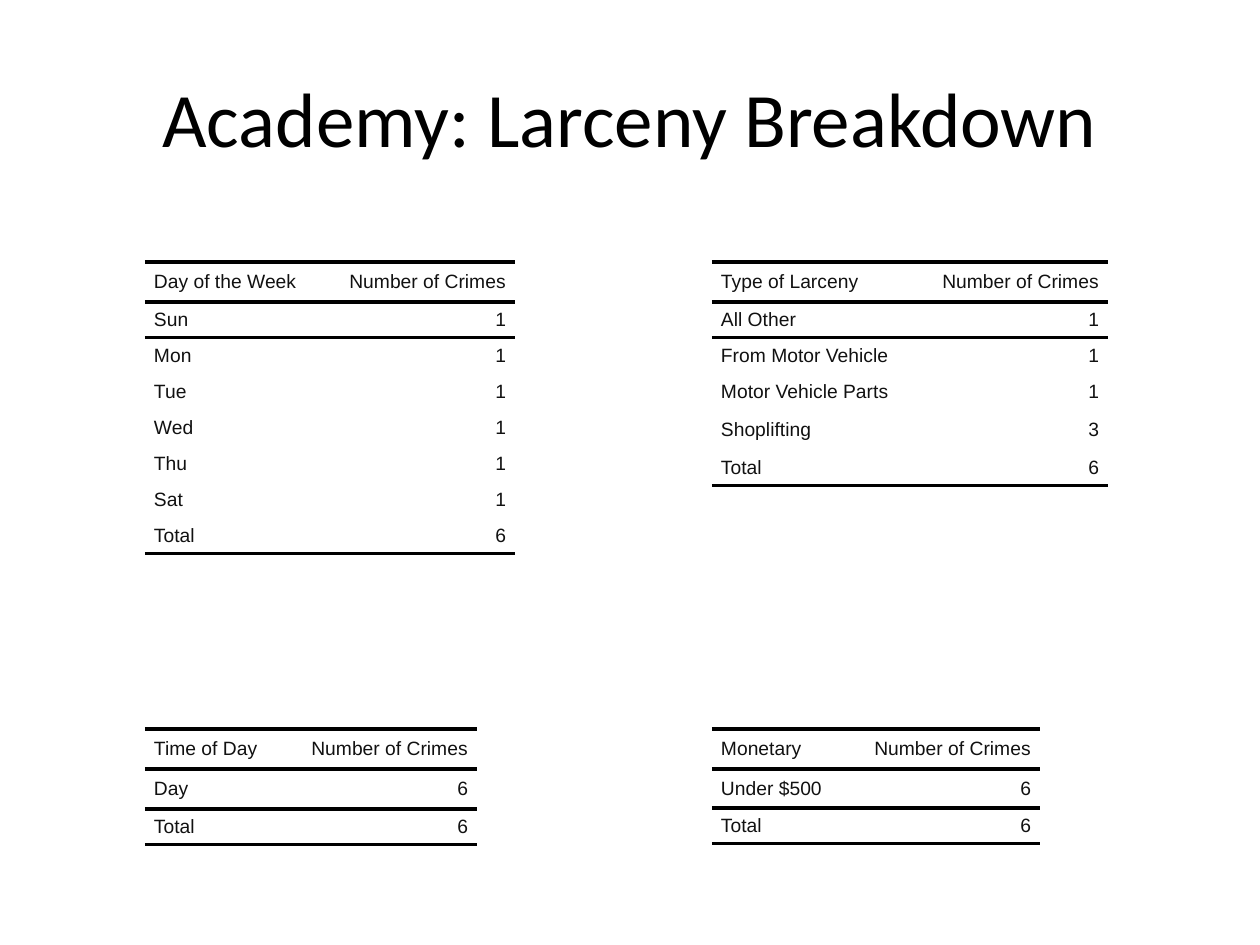
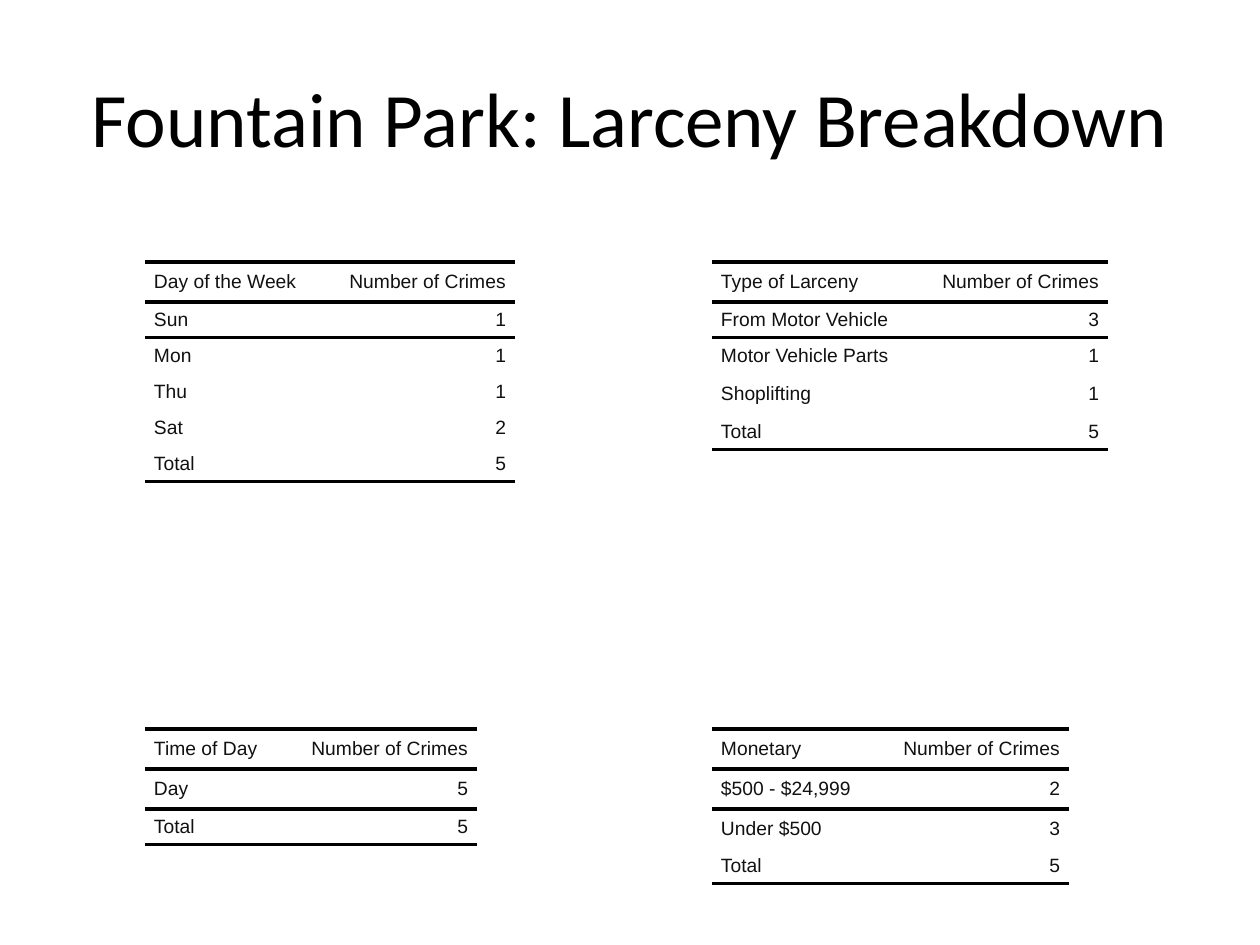
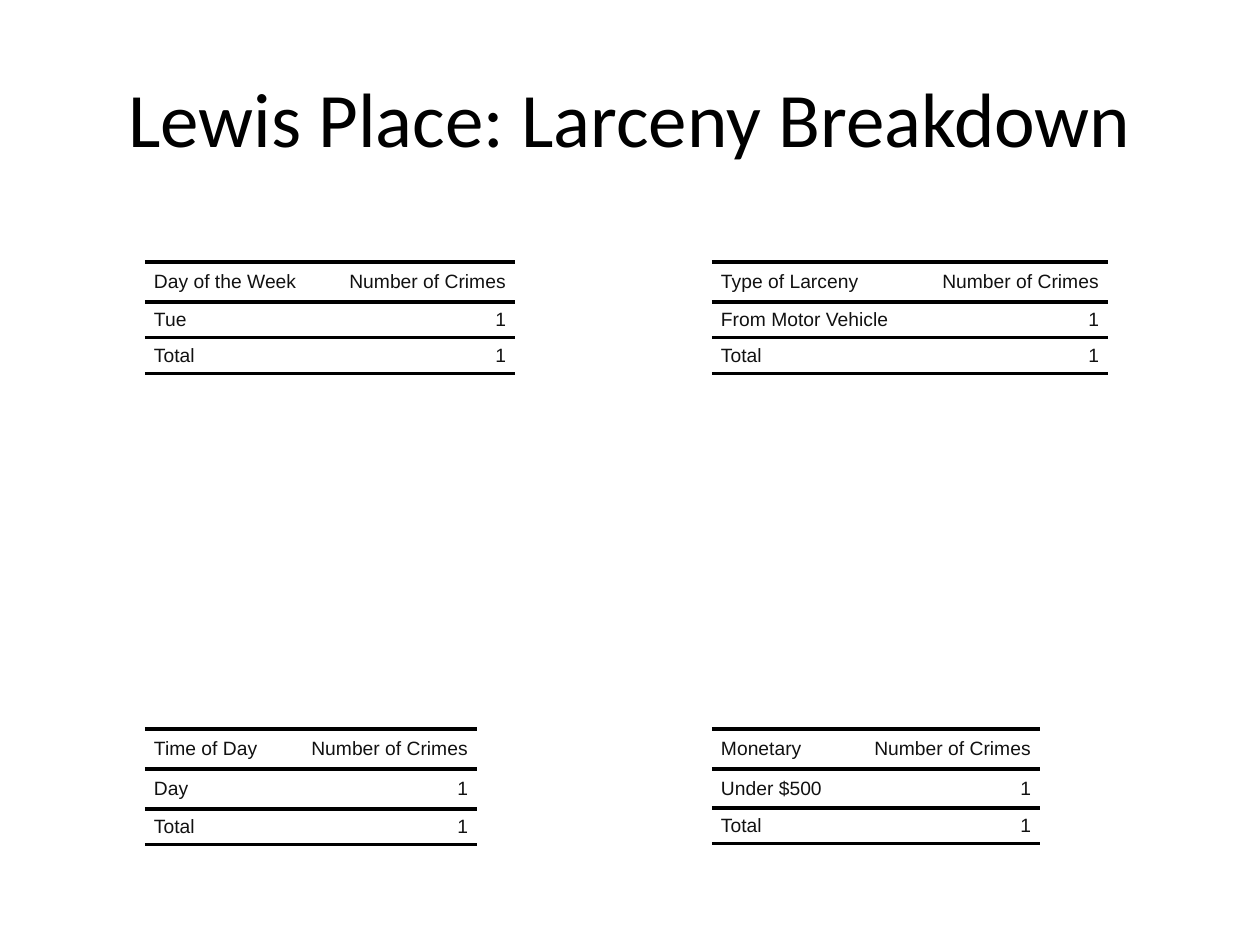
"""Builds three slides of larceny breakdown tables by neighbourhood."""
from dataclasses import dataclass

from lxml import etree
from pptx import Presentation
from pptx.dml.color import RGBColor
from pptx.enum.text import MSO_ANCHOR, PP_ALIGN
from pptx.oxml.ns import qn
from pptx.util import Emu, Pt

LEFT, CENTER, RIGHT = PP_ALIGN.LEFT, PP_ALIGN.CENTER, PP_ALIGN.RIGHT
MIDDLE = MSO_ANCHOR.MIDDLE
BLANK = 6
PX_PER_INCH = 126
NO_STYLE = "{2D5ABB26-0587-4C30-8999-92F81FD0307C}"

HEADER_H, ROW_H = 40, 36
TALL_ROWS = {"Shoplifting": 40, "Day": 40, "$500 - $24,999": 40, "Under $500": 39}
COUNT_W = 192
COL_X = (145, 712)
ROW_Y = (262, 729)

TABLES = (
    ("Day of the Week", COL_X[0], ROW_Y[0], 178),
    ("Time of Day", COL_X[0], ROW_Y[1], 140),
    ("Type of Larceny", COL_X[1], ROW_Y[0], 204),
    ("Monetary", COL_X[1], ROW_Y[1], 136),
)
WIDE_LABELS = {"$500 - $24,999": 165}

AREAS = {
    "Academy": (
        {"Sun": 1, "Mon": 1, "Tue": 1, "Wed": 1, "Thu": 1, "Sat": 1},
        {"Day": 6},
        {"All Other": 1, "From Motor Vehicle": 1, "Motor Vehicle Parts": 1, "Shoplifting": 3},
        {"Under $500": 6},
    ),
    "Fountain Park": (
        {"Sun": 1, "Mon": 1, "Thu": 1, "Sat": 2},
        {"Day": 5},
        {"From Motor Vehicle": 3, "Motor Vehicle Parts": 1, "Shoplifting": 1},
        {"$500 - $24,999": 2, "Under $500": 3},
    ),
    "Lewis Place": (
        {"Tue": 1},
        {"Day": 1},
        {"From Motor Vehicle": 1},
        {"Under $500": 1},
    ),
}


@dataclass(frozen=True)
class Theme:
    title_font: str = "Calibri"
    title_size: int = 44
    title_color: str = "000000"
    table_font: str = "Arial"
    table_size: int = 11
    table_color: str = "111111"
    rule_color: str = "000000"
    rule_width: int = 2
    cell_indent: int = 9
    cell_spacing: int = 2


def px(n):
    return Emu(round(n * 914400 / PX_PER_INCH))


class Deck:
    def __init__(self, theme):
        self.theme = theme
        self.prs = Presentation()
        self.prs.slide_width, self.prs.slide_height = px(1260), px(945)
        self.s = None

    def new_slide(self):
        self.s = self.prs.slides.add_slide(self.prs.slide_layouts[BLANK])

    def style(self, p, align, font, size, color):
        p.alignment = align
        for r in p.runs:
            r.font.name, r.font.size = font, Pt(size)
            r.font.color.rgb = RGBColor.from_string(color)

    def title(self, text):
        t = self.theme
        tf = self.s.shapes.add_textbox(px(63), px(38), px(1134), px(157)).text_frame
        tf.word_wrap, tf.vertical_anchor = True, MIDDLE
        tf.text = text
        self.style(tf.paragraphs[0], CENTER, t.title_font, t.title_size, t.title_color)

    def border(self, cell, tag):
        t = self.theme
        ln = etree.SubElement(cell._tc.get_or_add_tcPr(), qn(tag), w=str(Pt(t.rule_width)))
        fill = etree.SubElement(ln, qn("a:solidFill"))
        etree.SubElement(fill, qn("a:srgbClr"), val=t.rule_color)

    def cell(self, cell, text, align, rules):
        t = self.theme
        cell.margin_left = cell.margin_right = cell.margin_top = cell.margin_bottom = 0
        cell.vertical_anchor = MIDDLE
        cell.text = text
        p = cell.text_frame.paragraphs[0]
        p.space_after = Pt(t.cell_spacing)
        pPr = p._p.get_or_add_pPr()
        for side in ("marL", "marR"):
            pPr.set(side, str(px(t.cell_indent)))
        pPr.set("indent", "0")
        self.style(p, align, t.table_font, t.table_size, t.table_color)
        for tag in rules:
            self.border(cell, tag)
        cell.fill.background()

    def table(self, x, y, widths, heights, rows):
        frame = self.s.shapes.add_table(
            len(rows), len(widths), px(x), px(y), px(sum(widths)), px(sum(heights)))
        tbl = frame.table
        tbl.first_row = tbl.horz_banding = False
        tbl._tbl.tblPr.find(qn("a:tableStyleId")).text = NO_STYLE
        for col, w in zip(tbl.columns, widths):
            col.width = px(w)
        rules = {0: ("a:lnT", "a:lnB"), 1: ("a:lnT",), len(rows) - 1: ("a:lnB",)}
        for i, (row, h) in enumerate(zip(rows, heights)):
            tbl.rows[i].height = px(h)
            for j, (text, align) in enumerate(zip(row, (LEFT, RIGHT))):
                self.cell(tbl.cell(i, j), text, align, rules.get(i, ()))

    def crime_table(self, heading, x, y, label_w, counts):
        rows = [(heading, "Number of Crimes")]
        rows += [(label, str(n)) for label, n in counts.items()]
        rows.append(("Total", str(sum(counts.values()))))
        heights = [HEADER_H] + [TALL_ROWS.get(label, ROW_H) for label, _ in rows[1:]]
        label_w = max([label_w] + [WIDE_LABELS.get(label, 0) for label in counts])
        self.table(x, y, (label_w, COUNT_W), heights, rows)


def main():
    deck = Deck(Theme())
    for area, breakdowns in AREAS.items():
        deck.new_slide()
        deck.title(f"{area}: Larceny Breakdown")
        for layout, counts in zip(TABLES, breakdowns):
            deck.crime_table(*layout, counts)
    deck.prs.save("out.pptx")


if __name__ == "__main__":
    main()
